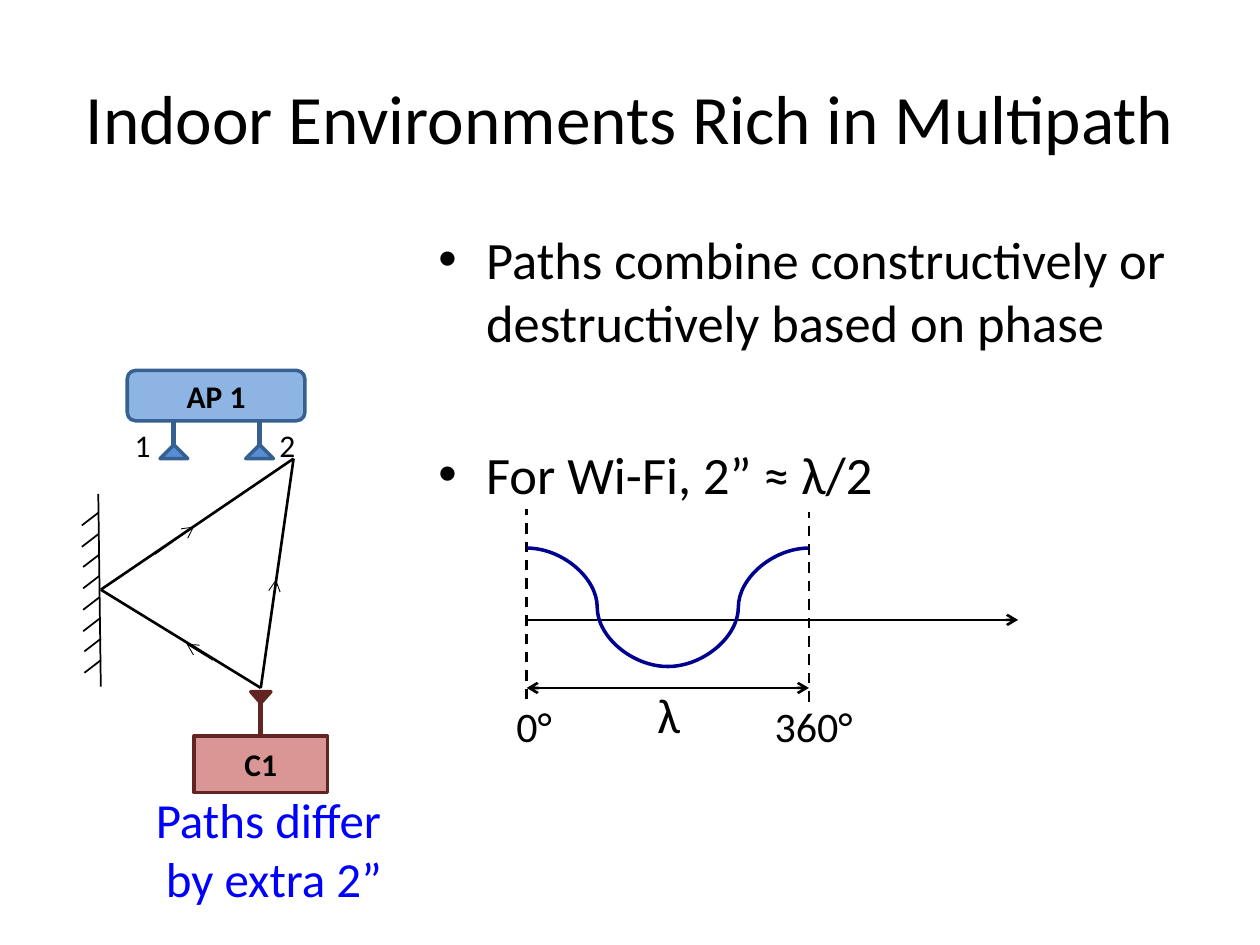
from dataclasses import dataclass
from typing import Optional

from lxml.etree import SubElement
from pptx import Presentation
from pptx.dml.color import RGBColor
from pptx.enum.dml import MSO_LINE as Dash
from pptx.enum.shapes import MSO_CONNECTOR as Kind, MSO_SHAPE as Form
from pptx.enum.text import MSO_ANCHOR as Anchor, MSO_AUTO_SIZE as Fit, PP_ALIGN as Align
from pptx.oxml.ns import qn
from pptx.util import Emu, Pt

PX = 9144  # EMU per px, 100 px to the inch
FONT = "Calibri"
BLACK = RGBColor(0x00, 0x00, 0x00)
BLUE = RGBColor(0x00, 0x00, 0xFF)
NAVY = RGBColor(0x00, 0x00, 0x90)
SKY = RGBColor(0x8E, 0xB4, 0xE3)
AZURE = RGBColor(0x55, 0x8E, 0xD5)
STEEL = RGBColor(0x37, 0x60, 0x92)
ROSE = RGBColor(0xD9, 0x96, 0x94)
WINE = RGBColor(0x63, 0x25, 0x23)


@dataclass
class Wire:
    x1: int
    y1: int
    x2: int
    y2: int
    width: float = 1.5
    color: RGBColor = BLACK
    kind: Kind = Kind.STRAIGHT
    dash: bool = False
    arrows: tuple = ()


@dataclass
class Label:
    lines: tuple
    x: int
    y: int
    w: int
    h: int
    size: float
    color: RGBColor = BLACK
    align: Align = Align.LEFT
    wrap: bool = False


@dataclass
class Block:
    form: Form
    x: int
    y: int
    w: int
    h: int
    fill: RGBColor
    edge: RGBColor
    text: Optional[str] = None
    turn: int = 0


prs = Presentation()
prs.slide_width, prs.slide_height = Emu(1000 * PX), Emu(750 * PX)
slide = prs.slides.add_slide(prs.slide_layouts[6])
shapes = slide.shapes


def px(*sizes: int) -> list:
    return [Emu(s * PX) for s in sizes]


def style(para, size: float, color: RGBColor, align: Align, bold: bool = False) -> None:
    para.alignment = align
    font = para.font
    font.name, font.size, font.bold = FONT, Pt(size), bold
    font.color.rgb = color


def draw_wire(wire: Wire):
    line = shapes.add_connector(wire.kind, *px(wire.x1, wire.y1, wire.x2, wire.y2))
    line.line.color.rgb = wire.color
    line.line.width = Pt(wire.width)
    if wire.dash:
        line.line.dash_style = Dash.DASH
    props = line.element.spPr
    for end in wire.arrows:
        SubElement(props.find(qn("a:ln")), qn(f"a:{end}"), type="arrow")
    SubElement(props, qn("a:effectLst"))
    return line


def draw_label(label: Label):
    box = shapes.add_textbox(*px(label.x, label.y, label.w, label.h))
    frame = box.text_frame
    frame.word_wrap = label.wrap
    frame.auto_size = Fit.NONE if label.wrap else Fit.SHAPE_TO_FIT_TEXT
    frame.text = "\n".join(label.lines)
    for para in frame.paragraphs:
        style(para, label.size, label.color, label.align)
    return frame


def draw_block(block: Block):
    shape = shapes.add_shape(block.form, *px(block.x, block.y, block.w, block.h))
    shape.shadow.inherit = False
    shape.rotation = block.turn
    shape.fill.solid()
    shape.fill.fore_color.rgb = block.fill
    shape.line.color.rgb = block.edge
    shape.line.width = Pt(2)
    if block.text:
        frame = shape.text_frame
        frame.margin_left = frame.margin_right = frame.margin_top = frame.margin_bottom = 0
        frame.vertical_anchor = Anchor.MIDDLE
        frame.text = block.text
        style(frame.paragraphs[0], 18, BLACK, Align.CENTER, bold=True)
    return shape


# Title
title = draw_label(Label(("Indoor Environments Rich in Multipath",),
                         50, 30, 900, 125, 39.6, align=Align.CENTER, wrap=True))
title.vertical_anchor = Anchor.MIDDLE

# Bullets
points = ("Paths combine constructively or destructively based on phase",
          "For Wi-Fi, 2” ≈ λ/2")
body = draw_label(Label((), 338, 175, 671, 539, 30, wrap=True))
body.text = "\n".join(points)
for para in body.paragraphs:
    props = para._p.get_or_add_pPr()
    props.set("marL", str(38 * PX))
    props.set("indent", str(-38 * PX))
    SubElement(props, qn("a:buFont"), typeface="Arial")
    SubElement(props, qn("a:buChar"), char="•")
    style(para, 30, BLACK, Align.LEFT)
body.paragraphs[1].space_before = Pt(51)

# Wave: axis, period marks, two mirrored halves, wavelength
START, MID, END = 418, 530, 642
BOTH = ("headEnd", "tailEnd")
for wire in (
    Wire(START, 492, 808, 492, arrows=("tailEnd",)),
    Wire(START, 555, START, 404, dash=True),
    Wire(END, 557, END, 406, dash=True),
    Wire(END, 435, MID, 529, 2, NAVY, Kind.CURVE),
    Wire(START, 435, MID, 529, 2, NAVY, Kind.CURVE),
    Wire(START, 546, END, 546, arrows=BOTH),
):
    draw_wire(wire)

# Reflecting wall with even hatching
draw_wire(Wire(78, 392, 80, 545, 1))
TICKS = 8
for i in range(TICKS):
    x = 78 + round(2 * i / (TICKS - 1))
    y = 407 + round(117 * i / (TICKS - 1))
    draw_wire(Wire(x, y, x - 13, y + 10, 1))

# Direct and reflected paths, with direction arrows
for wire in (
    Wire(207, 546, 233, 364),
    Wire(207, 546, 80, 468),
    Wire(80, 468, 233, 364),
    Wire(216, 484, 219, 460, 0.5, arrows=("tailEnd",)),
    Wire(123, 440, 154, 418, 0.5, arrows=("tailEnd",)),
    Wire(169, 524, 148, 511, 0.5, arrows=("tailEnd",)),
):
    draw_wire(wire)

# Client and its antenna
client = draw_block(Block(Form.RECTANGLE, 154, 584, 106, 45, ROSE, WINE, "C1"))
draw_block(Block(Form.ISOSCELES_TRIANGLE, 199, 549, 16, 9, WINE, WINE, turn=180))
stem = draw_wire(Wire(207, 556, 207, 584, 3, WINE))
stem.end_connect(client, 0)

# Access point and its two antennas
for x in (138, 206):
    draw_wire(Wire(x, 327, x, 354, 3, STEEL))
    draw_block(Block(Form.ISOSCELES_TRIANGLE, x - 11, 353, 22, 11, AZURE, STEEL))
draw_block(Block(Form.ROUNDED_RECTANGLE, 101, 294, 141, 40, SKY, STEEL, "AP 1"))

# Labels
for label in (
    Label(("Paths differ", " by extra 2”"), 111, 622, 204, 104, 28, BLUE, Align.CENTER),
    Label(("λ",), 512, 538, 40, 57, 28),
    Label(("0°",), 400, 551, 49, 50, 24),
    Label(("360°",), 605, 551, 83, 50, 24),
    Label(("1",), 97, 333, 33, 40, 18),
    Label(("2",), 212, 333, 33, 40, 18),
):
    draw_label(label)

prs.save("out.pptx")
